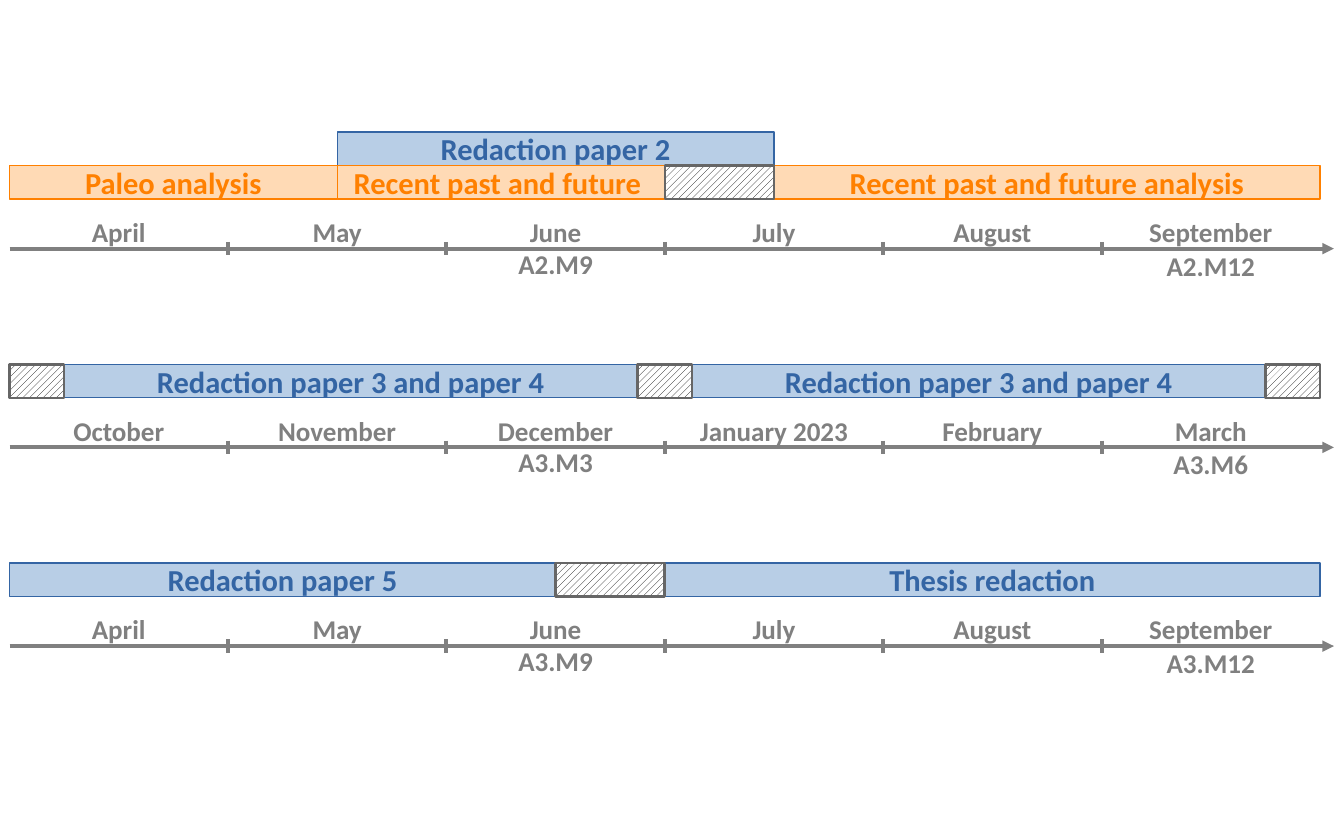
from lxml import etree
from pptx import Presentation
from pptx.dml.color import RGBColor
from pptx.enum.dml import MSO_PATTERN
from pptx.enum.shapes import MSO_CONNECTOR, MSO_SHAPE
from pptx.enum.text import MSO_ANCHOR, MSO_AUTO_SIZE, PP_ALIGN
from pptx.oxml.ns import qn
from pptx.util import Cm, Pt

RECT = MSO_SHAPE.RECTANGLE
LINE = MSO_CONNECTOR.STRAIGHT
HATCH = MSO_PATTERN.WIDE_UPWARD_DIAGONAL
MIDDLE = MSO_ANCHOR.MIDDLE
CENTER = PP_ALIGN.CENTER
GROW = MSO_AUTO_SIZE.SHAPE_TO_FIT_TEXT

BLACK = RGBColor(0x00, 0x00, 0x00)
WHITE = RGBColor(0xFF, 0xFF, 0xFF)
GRAY = RGBColor(0x80, 0x80, 0x80)
DARK = RGBColor(0x66, 0x66, 0x66)
BLUE = RGBColor(0x34, 0x65, 0xA4)
SKY = RGBColor(0x72, 0x9F, 0xCF)
ORANGE = RGBColor(0xFF, 0x80, 0x00)
PEACH = RGBColor(0xFF, 0xB6, 0x6C)
PAPER = (BLUE, SKY)
STUDY = (ORANGE, PEACH)

LEFT, MONTH, BAR = 0.2, 4.55, 0.7
TOP, PITCH = 5.18, 4.14
EIGHTH = 1 / 8

SPRING = ["April", "May", "June", "July", "August", "September"]
WINTER = ["October", "November", "December",
          "January 2023", "February", "March"]

ROWS = [
    (SPRING, "A2.M9", "A2.M12",
     [("Redaction paper 2", 1.5, 3.5, 1, PAPER),
      ("Paleo analysis", 0, 1.5, 0, STUDY),
      ("Recent past and future ", 1.5, 3, 0, STUDY),
      ("Recent past and future analysis", 3.5, 6, 0, STUDY)],
     [(3, 3.5)]),
    (WINTER, "A3.M3", "A3.M6",
     [("Redaction paper 3 and paper 4", 0.25, 3 - EIGHTH, 0, PAPER),
      ("Redaction paper 3 and paper 4", 3 + EIGHTH, 5.75, 0, PAPER)],
     [(0, 0.25), (3 - EIGHTH, 3 + EIGHTH), (5.75, 6)]),
    (SPRING, "A3.M9", "A3.M12",
     [("Redaction paper 5", 0, 2.5, 0, PAPER),
      ("Thesis redaction", 3, 6, 0, PAPER)],
     [(2.5, 3)]),
]


class Chart:
    """Draws the parts of a timeline on one slide."""

    def __init__(self, slide, font="Calibri"):
        self.slide = slide
        self.font = font

    def place(self, month):
        return LEFT + MONTH * month

    def letter(self, shape, text, size, color):
        frame = shape.text_frame
        frame.text = text
        frame.vertical_anchor = MIDDLE
        para = frame.paragraphs[0]
        para.alignment = CENTER
        font = para.runs[0].font
        font.name, font.size, font.bold = self.font, Pt(size), True
        font.color.rgb = color

    def label(self, text, month, y):
        box = self.slide.shapes.add_textbox(
            Cm(self.place(month)), Cm(y), Cm(MONTH), Cm(1.01))
        self.letter(box, text, 16, GRAY)
        box.text_frame.word_wrap = True
        box.text_frame.auto_size = GROW

    def line(self, x1, y1, x2, y2, arrow=False):
        line = self.slide.shapes.add_connector(
            LINE, Cm(x1), Cm(y1), Cm(x2), Cm(y2))
        line.line.color.rgb = GRAY
        line.line.width = Pt(2.3)
        props = line._element.spPr
        if arrow:
            etree.SubElement(props.find(qn("a:ln")), qn("a:tailEnd"),
                             type="triangle")
        etree.SubElement(props, qn("a:effectLst"))

    def axis(self, y):
        self.line(LEFT, y, 27.79, y, arrow=True)
        for month in range(1, 6):
            x = self.place(month)
            self.line(x, y - 0.14, x, y + 0.14)

    def block(self, start, end, y, edge, width):
        shape = self.slide.shapes.add_shape(
            RECT, Cm(self.place(start)), Cm(y),
            Cm(MONTH * (end - start)), Cm(BAR))
        shape.shadow.inherit = False
        shape.line.color.rgb = edge
        shape.line.width = Pt(width)
        return shape

    def bar(self, text, start, end, y, style):
        edge, fill = style
        shape = self.block(start, end, y, edge, 0)
        shape.fill.solid()
        shape.fill.fore_color.rgb = fill
        color = shape._element.spPr.find(qn("a:solidFill"))[0]
        etree.SubElement(color, qn("a:alpha"), val="50000")
        self.letter(shape, text, 18, edge)
        shape.text_frame.word_wrap = False

    def pause(self, start, end, y):
        shape = self.block(start, end, y, DARK, 1.5)
        shape.fill.patterned()
        shape.fill.pattern = HATCH
        shape.fill.fore_color.rgb = BLACK
        shape.fill.back_color.rgb = WHITE

    def row(self, y, months, mid, last, bars, breaks):
        base = y - 1.73
        self.axis(y)
        self.label(mid, 2, y - 0.2)
        self.label(last, 5, y - 0.16)
        for text, start, end, level, style in bars:
            self.bar(text, start, end, base - BAR * level, style)
        for month, name in enumerate(months):
            self.label(name, month, y - 0.86)
        for start, end in breaks:
            self.pause(start, end, base)


def main():
    deck = Presentation()
    deck.slide_width, deck.slide_height = Cm(28), Cm(17)
    chart = Chart(deck.slides.add_slide(deck.slide_layouts[6]))
    for index, row in enumerate(ROWS):
        chart.row(TOP + PITCH * index, *row)
    deck.save("out.pptx")


if __name__ == "__main__":
    main()
